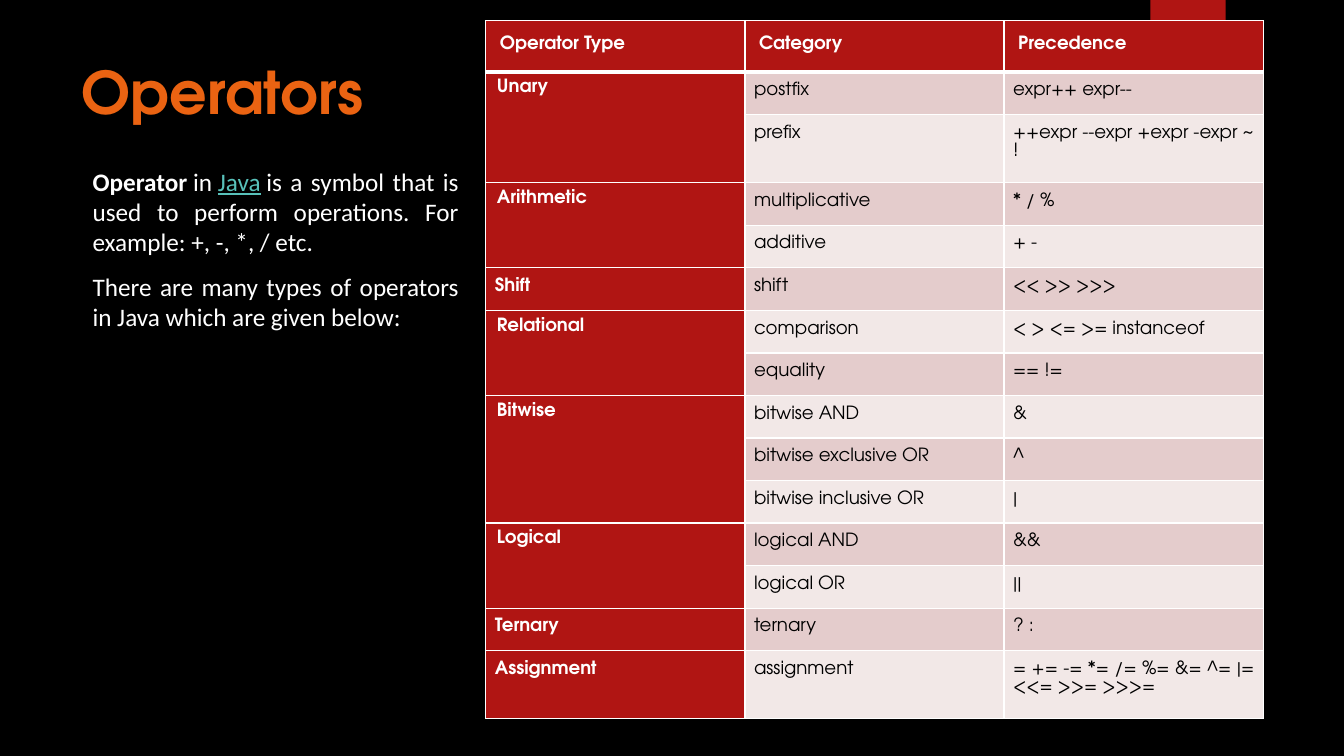
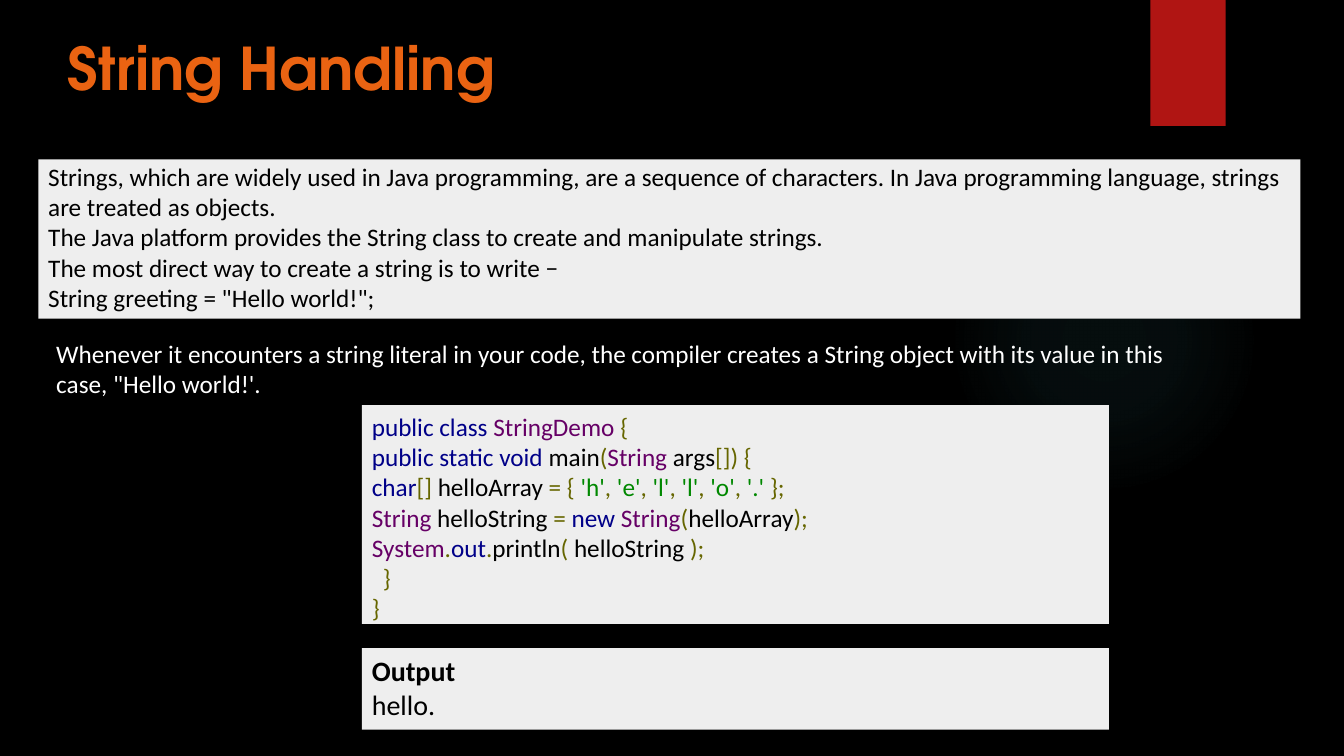
from dataclasses import dataclass
from itertools import accumulate
from typing import NamedTuple, Optional

from pptx import Presentation
from pptx.dml.color import RGBColor
from pptx.enum.shapes import MSO_SHAPE
from pptx.enum.text import MSO_ANCHOR, MSO_AUTO_SIZE, PP_ALIGN
from pptx.oxml import parse_xml
from pptx.oxml.ns import nsdecls
from pptx.shapes.autoshape import Shape
from pptx.slide import Slide
from pptx.table import _Cell
from pptx.text.text import TextFrame
from pptx.util import Emu, Inches, Pt

SLIDE_WIDTH, SLIDE_HEIGHT = Inches(13.33), Inches(7.5)


@dataclass(frozen=True)
class Theme:
    """Colours, fonts and type sizes of the presentation."""
    background: str = "000000"
    red: str = "B01513"
    orange: str = "EA6312"
    glow: str = "50B9C1"
    link: str = "58C1BA"
    white: str = "FFFFFF"
    black: str = "000000"
    panel: str = "EEEEEE"
    bands: tuple[str, str] = ("F2E8E7", "E4CCCC")
    keyword: str = "000088"
    type_name: str = "660066"
    symbol: str = "666600"
    literal: str = "008800"
    heading_font: str = "TeX Gyre Adventor"
    body_font: str = "Calibri"
    title_size: int = 42
    output_size: int = 20
    body_size: int = 18
    table_size: int = 13


THEME = Theme()


class Box(NamedTuple):
    """A rectangle in percent of the slide's width and height."""
    left: float
    top: float
    width: float
    height: float


class Span(NamedTuple):
    """A run of text; an empty colour takes the colour of its block."""
    text: str
    color: str = ""
    bold: bool = False
    underline: bool = False


class Line(NamedTuple):
    """A paragraph made of spans, with an optional left indent in inches."""
    spans: list[Span]
    indent: float = 0


@dataclass(frozen=True)
class TextStyle:
    """Typography of one block of text."""
    size: int = THEME.body_size
    color: str = THEME.white
    font: str = THEME.body_font
    alignment: PP_ALIGN = PP_ALIGN.LEFT
    space_before: float = 0
    space_after: float = 0
    line_spacing: float = 1.0


@dataclass(frozen=True)
class TextBlock:
    """A placed block of text, filled or bare; insets in inches."""
    box: Box
    lines: list[Line]
    style: TextStyle = TextStyle()
    fill: Optional[str] = None
    insets: tuple[float, float, float, float] = (0.1, 0.05, 0.1, 0.05)
    grows: bool = True


class Operator(NamedTuple):
    """One category of operators and its members."""
    category: str
    members: str


class OperatorGroup(NamedTuple):
    """An operator type with its categories."""
    name: str
    operators: list[Operator]


def across(share: float) -> Emu:
    """Turn a percentage of the slide's width into a length."""
    return Emu(round(SLIDE_WIDTH * share / 100))


def down(share: float) -> Emu:
    """Turn a percentage of the slide's height into a length."""
    return Emu(round(SLIDE_HEIGHT * share / 100))


def place(box: Box) -> tuple[Emu, Emu, Emu, Emu]:
    """Turn a box into left, top, width and height."""
    return across(box.left), down(box.top), across(box.width), down(box.height)


def plain(*texts: str) -> list[Line]:
    """Make one single-span line of each text."""
    return [Line([Span(text)]) for text in texts]


def write(frame: TextFrame, lines: list[Line], style: TextStyle) -> None:
    """Write lines into a text frame run by run."""
    for index, line in enumerate(lines):
        paragraph = frame.paragraphs[0] if index == 0 else frame.add_paragraph()
        paragraph.alignment = style.alignment
        paragraph.space_before = Pt(style.space_before)
        paragraph.space_after = Pt(style.space_after)
        paragraph.line_spacing = style.line_spacing
        if line.indent:
            paragraph._p.get_or_add_pPr().set("marL", str(Inches(line.indent)))
        for span in line.spans:
            run = paragraph.add_run()
            run.text = span.text
            run.font.name = style.font
            run.font.size = Pt(style.size)
            run.font.bold = span.bold
            run.font.underline = span.underline
            run.font.color.rgb = RGBColor.from_string(span.color or style.color)


def add_plain_shape(slide: Slide, kind: MSO_SHAPE, box: Box, fill: Optional[str] = None) -> Shape:
    """Add a shape with no outline or shadow."""
    shape = slide.shapes.add_shape(kind, *place(box))
    shape.shadow.inherit = False
    shape.line.fill.background()
    if fill:
        shape.fill.solid()
        shape.fill.fore_color.rgb = RGBColor.from_string(fill)
    return shape


def add_text(slide: Slide, block: TextBlock) -> None:
    """Add a block of text, on a panel if it has a fill."""
    if block.fill:
        shape = add_plain_shape(slide, MSO_SHAPE.RECTANGLE, block.box, block.fill)
    else:
        shape = slide.shapes.add_textbox(*place(block.box))
    frame = shape.text_frame
    frame.word_wrap = True
    frame.vertical_anchor = MSO_ANCHOR.MIDDLE if block.fill else MSO_ANCHOR.TOP
    frame.auto_size = MSO_AUTO_SIZE.SHAPE_TO_FIT_TEXT if block.grows else MSO_AUTO_SIZE.NONE
    (frame.margin_left, frame.margin_top,
     frame.margin_right, frame.margin_bottom) = map(Inches, block.insets)
    write(frame, block.lines, block.style)


def add_base_slide(presentation: Presentation, title: str, title_box: Box) -> Slide:
    """Add a blank slide with the glow, the red band and a title."""
    slide = presentation.slides.add_slide(presentation.slide_layouts[6])
    slide.background.fill.solid()
    slide.background.fill.fore_color.rgb = RGBColor.from_string(THEME.background)

    glow = add_plain_shape(slide, MSO_SHAPE.OVAL, Box(70.6, 24.4, 23.1, 41.07))
    stops = "".join(
        f'<a:gs pos="{position}000"><a:srgbClr val="{THEME.glow}">'
        f'<a:alpha val="{opacity}000"/></a:srgbClr></a:gs>'
        for position, opacity in ((0, 7), (36, 6), (69, 0), (100, 0)))
    glow._element.spPr.insert(2, parse_xml(
        f'<a:gradFill {nsdecls("a")}><a:gsLst>{stops}</a:gsLst><a:path path="circle">'
        '<a:fillToRect l="50000" t="50000" r="50000" b="50000"/></a:path></a:gradFill>'))

    band = add_plain_shape(slide, MSO_SHAPE.RECTANGLE, Box(85.6, 0, 5.6, 16.67), THEME.red)
    band._element.spPr[-1].append(parse_xml(
        f'<a:outerShdw {nsdecls("a")} blurRad="{Pt(3)}" dist="{Pt(2)}" dir="5400000">'
        f'<a:srgbClr val="{THEME.black}"><a:alpha val="45000"/></a:srgbClr></a:outerShdw>'))

    title_style = TextStyle(THEME.title_size, THEME.orange, THEME.heading_font)
    add_text(slide, TextBlock(title_box, [Line([Span(title, bold=True)])], title_style, grows=False))
    return slide


def fill_cell(cell: _Cell, text: str, fill: str, insets: tuple[float, float], heading: bool = False,
              alignment: PP_ALIGN = PP_ALIGN.JUSTIFY, top: int = 1, bottom: int = 1) -> None:
    """Set the text, fill, insets and border widths of a table cell."""
    cell.margin_left = cell.margin_right = Inches(insets[0])
    cell.margin_top = cell.margin_bottom = Inches(insets[1])
    cell.fill.solid()
    cell.fill.fore_color.rgb = RGBColor.from_string(fill)
    properties = cell._tc.get_or_add_tcPr()
    for index, (side, width) in enumerate((("L", 1), ("R", 1), ("T", top), ("B", bottom))):
        properties.insert(index, parse_xml(
            f'<a:ln{side} {nsdecls("a")} w="{Pt(width)}"><a:solidFill>'
            f'<a:srgbClr val="{THEME.white}"/></a:solidFill></a:ln{side}>'))
    color = THEME.white if heading else THEME.black
    style = TextStyle(THEME.table_size, color, THEME.heading_font, alignment,
                      space_after=8, line_spacing=1.07)
    if text:
        write(cell.text_frame, [Line([Span(text, bold=heading)])], style)


def add_operator_table(slide: Slide, headings: list[str], groups: list[OperatorGroup]) -> None:
    """Add the table, merging the type cell over each group's rows."""
    header_height, row_height, tall_height, header_rule = 6.8, 5.63, 9, 3
    sizes = [len(group.operators) for group in groups]
    tall_rows = (2, sum(sizes))
    heights = [header_height] + [tall_height if row in tall_rows else row_height
                                 for row in range(1, sum(sizes) + 1)]
    box = Box(36.15, 2.75, 57.84, sum(heights))
    table = slide.shapes.add_table(len(heights), len(headings), *place(box)).table
    table.first_row = table.horz_banding = False
    for column in table.columns:
        column.width = across(box.width / len(headings))
    for row, height in zip(table.rows, heights):
        row.height = down(height)
    for column, heading in enumerate(headings):
        fill_cell(table.cell(0, column), heading, THEME.red, (0.14, 0.14), True,
                  PP_ALIGN.LEFT, bottom=header_rule)

    for group, first in zip(groups, accumulate(sizes, initial=1)):
        last = first + len(group.operators) - 1
        type_insets = (0.11, 0.06) if last > first else (0.09, 0.09)
        for row, operator in enumerate(group.operators, first):
            top = header_rule if row == 1 else 1
            name = group.name if row == first else ""
            fill_cell(table.cell(row, 0), name, THEME.red, type_insets, True, top=top)
            for column, text in enumerate(operator, 1):
                fill_cell(table.cell(row, column), text, THEME.bands[row % 2], (0.09, 0.09), top=top)
        if last > first:
            table.cell(first, 0).merge(table.cell(last, 0))


def build_operators(presentation: Presentation) -> None:
    """Build the slide on operators."""
    slide = add_base_slide(presentation, "Operators", Box(5.33, 6.67, 24.5, 10))
    definition = Line([
        Span("Operator", bold=True), Span("\u00a0in\u00a0"),
        Span("Java", THEME.link, underline=True),
        Span("\u00a0is a symbol that is used to perform operations. For example: +, -, *, / etc.")])
    lead = plain("There are many types of operators in Java which are given below:")
    add_text(slide, TextBlock(Box(6.15, 21.33, 28.73, 61.2), [definition, *lead],
                              TextStyle(alignment=PP_ALIGN.JUSTIFY, space_before=10), grows=False))
    add_operator_table(slide, ["Operator Type", "Category", "Precedence"], [
        OperatorGroup("Unary", [
            Operator("postfix", "expr++\u00a0expr--"),
            Operator("prefix", "++expr\u00a0--expr\u00a0+expr\u00a0-expr\u00a0~ !")]),
        OperatorGroup("Arithmetic", [Operator("multiplicative", "* / %"), Operator("additive", "+ -")]),
        OperatorGroup("Shift", [Operator("shift", "<< >> >>>")]),
        OperatorGroup("Relational", [
            Operator("comparison", "< > <= >= instanceof"), Operator("equality", "== !=")]),
        OperatorGroup("Bitwise", [
            Operator("bitwise AND", "&"), Operator("bitwise exclusive OR", "^"),
            Operator("bitwise inclusive OR", "|")]),
        OperatorGroup("Logical", [Operator("logical AND", "&&"), Operator("logical OR", "||")]),
        OperatorGroup("Ternary", [Operator("ternary", "? :")]),
        OperatorGroup("Assignment", [Operator("assignment", "= += -= *= /= %= &= ^= |= <<= >>= >>>=")]),
    ])


def code_lines() -> list[Line]:
    """Return the demo program with its syntax colours."""
    keyword, type_name, symbol = THEME.keyword, THEME.type_name, THEME.symbol
    letters = [span for letter in "hello"
               for span in (Span(f"'{letter}'", THEME.literal), Span(", ", symbol))]
    return [
        Line([Span("public class ", keyword), Span("StringDemo ", type_name), Span("{", symbol)]),
        Line([Span("public static void", keyword), Span(" main"), Span("(", symbol),
              Span("String ", type_name), Span("args"), Span("[]) {", symbol)]),
        Line([Span("char", keyword), Span("[] ", symbol), Span("helloArray "), Span("= { ", symbol),
              *letters, Span("'.' ", THEME.literal), Span("};", symbol)]),
        Line([Span("String ", type_name), Span("helloString "), Span("= ", symbol),
              Span("new ", keyword), Span("String", type_name), Span("(", symbol),
              Span("helloArray"), Span(");", symbol)]),
        Line([Span("System", type_name), Span(".", symbol), Span("out", keyword), Span(".", symbol),
              Span("println"), Span("( ", symbol), Span("helloString "), Span(");", symbol)]),
        Line([Span("}", symbol)], indent=0.11),
        Line([Span("}", symbol)]),
    ]


def build_string_handling(presentation: Presentation) -> None:
    """Build the slide on string handling."""
    slide = add_base_slide(presentation, "String Handling", Box(4.28, 3.47, 39.9, 10.8))
    dark_text = TextStyle(color=THEME.black)
    code_left, code_width = 26.93, 55.58
    introduction = plain(
        "Strings, which are widely used in Java programming, are a sequence of characters. "
        "In Java programming language, strings are treated as objects.",
        "The Java platform provides the String class to create and manipulate strings.",
        "The most direct way to create a string is to write \u2212",
        'String greeting = "Hello world!";')
    explanation = plain(
        "Whenever it encounters a string literal in your code, the compiler creates "
        "a String object with its value in this case, \"Hello world!'.")
    output = [Line([Span("Output", bold=True)]), *plain("hello.")]
    for block in (
        TextBlock(Box(2.85, 21.07, 93.9, 21.07), introduction, dark_text, THEME.panel,
                  (0.1, 0.01, 0.1, 0.05)),
        TextBlock(Box(3.45, 44.13, 87.53, 9.47), explanation),
        TextBlock(Box(code_left, 53.6, code_width, 28.93), code_lines(), dark_text, THEME.panel,
                  (0.1, 0.05, 0.1, 0)),
        TextBlock(Box(code_left, 85.73, code_width, 10.8), output,
                  TextStyle(THEME.output_size, THEME.black), THEME.panel, (0.1, 0.05, 0.1, 0.08)),
    ):
        add_text(slide, block)


def main() -> None:
    """Build and save the presentation."""
    presentation = Presentation()
    presentation.slide_width, presentation.slide_height = SLIDE_WIDTH, SLIDE_HEIGHT
    build_operators(presentation)
    build_string_handling(presentation)
    presentation.save("out.pptx")


main()
